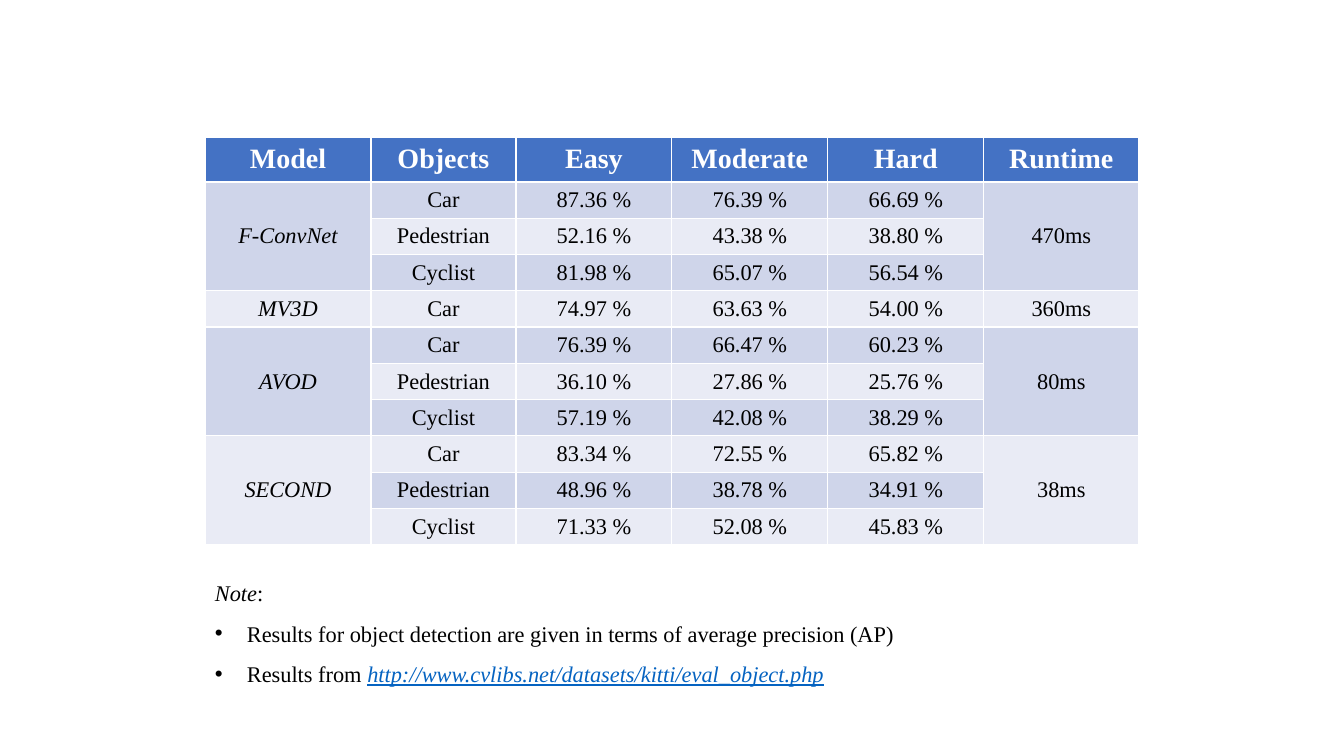
from lxml.etree import SubElement
from pptx import Presentation
from pptx.dml.color import RGBColor
from pptx.enum.text import MSO_ANCHOR as Anchor, PP_ALIGN as Align
from pptx.oxml.ns import qn
from pptx.util import Pt

HEADERS = ["Model", "Objects", "Easy", "Moderate", "Hard", "Runtime"]
MODELS = [
    ("F-ConvNet", "470ms", [
        ("Car", "87.36 %", "76.39 %", "66.69 %"),
        ("Pedestrian", "52.16 %", "43.38 %", "38.80 %"),
        ("Cyclist", "81.98 %", "65.07 %", "56.54 %"),
    ]),
    ("MV3D", "360ms", [
        ("Car", "74.97 %", "63.63 %", "54.00 %"),
    ]),
    ("AVOD", "80ms", [
        ("Car", "76.39 %", "66.47 %", "60.23 %"),
        ("Pedestrian", "36.10 %", "27.86 %", "25.76 %"),
        ("Cyclist", "57.19 %", "42.08 %", "38.29 %"),
    ]),
    ("SECOND", "38ms", [
        ("Car", "83.34 %", "72.55 %", "65.82 %"),
        ("Pedestrian", "48.96 %", "38.78 %", "34.91 %"),
        ("Cyclist", "71.33 %", "52.08 %", "45.83 %"),
    ]),
]
NOTES = [
    (False, [("Note", "italic"), (":", "plain")]),
    (True, [("Results for object detection are given in terms of average precision (AP)", "plain")]),
    (True, [("Results from ", "plain"),
            ("http://www.cvlibs.net/datasets/kitti/eval_object.php", "address")]),
]

SLIDE_SIZE = 1344, 756
TABLE_LEFT, TABLE_TOP = 205, 137
COLUMN_WIDTHS = [166, 145, 156, 156, 156, 155]
HEADER_HEIGHT, BODY_HEIGHT = 45, 363
NOTE_BOX = 205, 563, 732, 127
BULLET_INDENT = 32
FONT = "Times New Roman"
HEADER_FILL, BANDS = "4472C4", ["CFD5EA", "E9EBF5"]
WHITE, BLACK, ADDRESS_BLUE = "FFFFFF", "000000", "0563C1"


def px(length):
    return round(length * 12192000 / 1344)


def color(hex_string):
    return RGBColor.from_string(hex_string)


def style_font(font, size, hex_string, bold=False, italic=False):
    font.name = FONT
    font.size = Pt(size)
    font.bold = bold
    font.italic = italic
    font.color.rgb = color(hex_string)


def fill_cell(cell, text, fill, size=16, text_color=BLACK, **emphasis):
    cell.text = text
    cell.vertical_anchor = Anchor.MIDDLE
    cell.fill.solid()
    cell.fill.fore_color.rgb = color(fill)
    paragraph = cell.text_frame.paragraphs[0]
    paragraph.alignment = Align.CENTER
    style_font(paragraph.font, size, text_color, **emphasis)


def add_results(slide):
    row_count = sum(len(results) for _, _, results in MODELS)
    table = slide.shapes.add_table(
        row_count + 1, len(HEADERS), px(TABLE_LEFT), px(TABLE_TOP),
        px(sum(COLUMN_WIDTHS)), px(HEADER_HEIGHT + BODY_HEIGHT)).table
    for column, width in zip(table.columns, COLUMN_WIDTHS):
        column.width = px(width)
    for row in table.rows:
        row.height = px(BODY_HEIGHT / row_count)
    table.rows[0].height = px(HEADER_HEIGHT)

    for column, header in enumerate(HEADERS):
        fill_cell(table.cell(0, column), header, HEADER_FILL, 20, WHITE, bold=True)

    last_column = len(HEADERS) - 1
    first_row = 1
    for model, runtime, results in MODELS:
        last_row = first_row + len(results) - 1
        for row, values in enumerate(results, first_row):
            band = BANDS[(row - 1) % 2]
            for column, value in enumerate(values, 1):
                cell = table.cell(row, column)
                fill_cell(cell, value, band)
                if column > 1:
                    cell.margin_left = cell.margin_right = px(2)
                    cell.margin_top = cell.margin_bottom = px(1)
        group_band = BANDS[(first_row - 1) % 2]
        for column, text in ((0, model), (last_column, runtime)):
            cell = table.cell(first_row, column)
            if last_row > first_row:
                cell.merge(table.cell(last_row, column))
            fill_cell(cell, text, group_band, italic=column == 0)
        first_row = last_row + 1


def add_bullet(paragraph):
    properties = paragraph._p.get_or_add_pPr()
    properties.set("marL", str(px(BULLET_INDENT)))
    properties.set("indent", str(-px(BULLET_INDENT)))
    SubElement(properties, qn("a:buFont"), typeface="Arial")
    SubElement(properties, qn("a:buChar"), char="•")


def add_notes(slide):
    frame = slide.shapes.add_textbox(*map(px, NOTE_BOX)).text_frame
    frame.word_wrap = True
    frame.vertical_anchor = Anchor.MIDDLE
    for index, (bulleted, pieces) in enumerate(NOTES):
        paragraph = frame.add_paragraph() if index else frame.paragraphs[0]
        if bulleted:
            add_bullet(paragraph)
        paragraph.alignment = Align.JUSTIFY
        paragraph.line_spacing = 1.5
        style_font(paragraph.font, 16, BLACK)
        for text, style in pieces:
            run = paragraph.add_run()
            run.text = text
            if style != "plain":
                run.font.italic = True
            if style == "address":
                run.font.underline = True
                run.font.color.rgb = color(ADDRESS_BLUE)


def main():
    presentation = Presentation()
    presentation.slide_width, presentation.slide_height = map(px, SLIDE_SIZE)
    slide = presentation.slides.add_slide(presentation.slide_layouts[6])
    add_results(slide)
    add_notes(slide)
    presentation.save("out.pptx")


if __name__ == "__main__":
    main()
